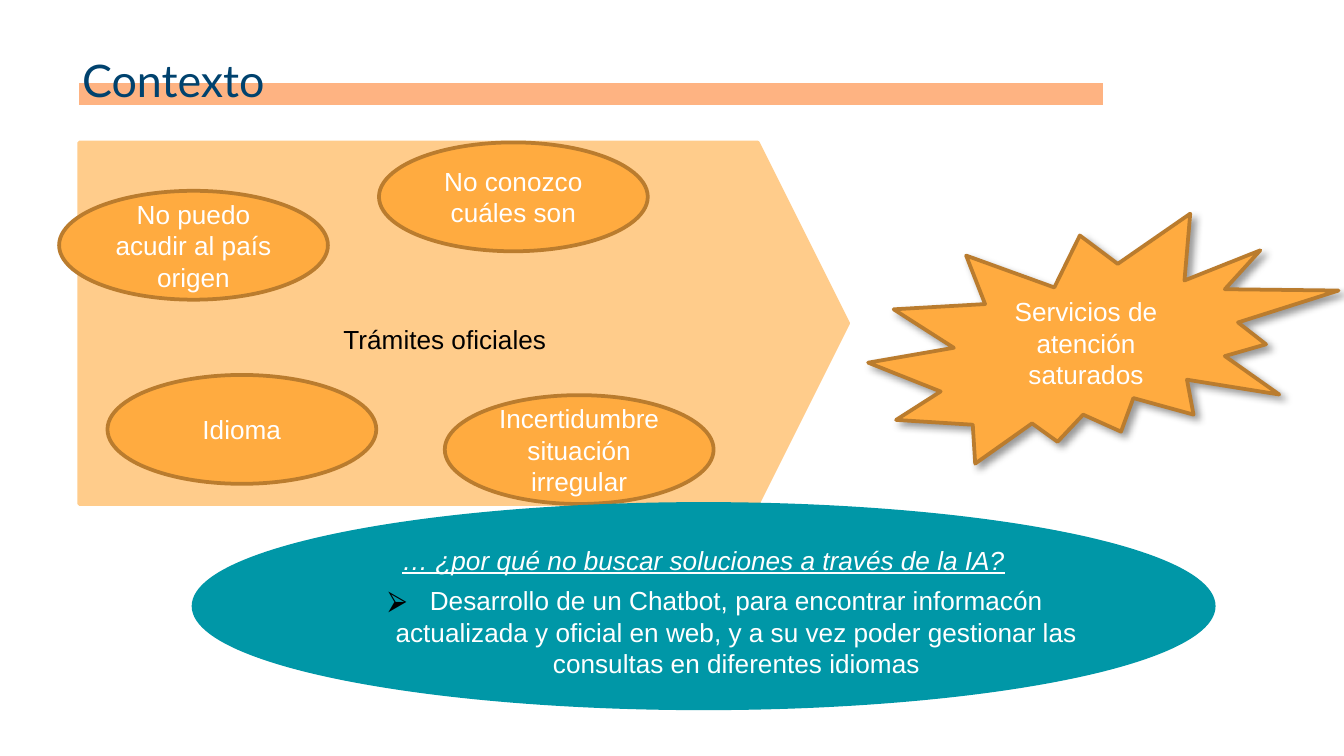
from dataclasses import dataclass

from lxml import etree
from pptx import Presentation
from pptx import util as u
from pptx.dml.color import RGBColor
from pptx.enum import shapes, text
from pptx.oxml import ns

PX = 9144


@dataclass(frozen=True)
class Theme:
    navy: str = "00426E"
    peach: str = "FEB382"
    sand: str = "FFCC8B"
    orange: str = "FFAB40"
    brown: str = "BA7C2E"
    teal: str = "0097A7"
    white: str = "FFFFFF"
    black: str = "000000"
    title_font: str = "Lato"
    body_font: str = "Arial"
    title_size: int = 24
    body_size: int = 14
    outline: int = 2
    bar: int = 12


@dataclass(frozen=True)
class Box:
    left: int
    top: int
    width: int
    height: int

    def emu(self) -> tuple:
        return tuple(side * PX for side in (self.left, self.top, self.width, self.height))


@dataclass(frozen=True)
class Problem:
    wording: str
    left: int
    top: int


THEME = Theme()
PROBLEMS = [
    Problem("No puedo acudir al país origen", 44, 142),
    Problem("Idioma", 80, 279),
    Problem("No conozco cuáles son", 282, 106),
    Problem("Incertidumbre situación irregular", 331, 294),
]


def rgb(value: str) -> RGBColor:
    """Turn a hex string into a colour."""
    return RGBColor.from_string(value)


def add_child(parent, tag: str, **attributes):
    """Append a DrawingML element."""
    return etree.SubElement(parent, ns.qn(tag), attributes)


def write(frame, wording: str, color: str, centred: bool = True,
          font: str = THEME.body_font, size: int = THEME.body_size):
    """Write one paragraph with one run and return both."""
    frame.word_wrap = True
    paragraph = frame.paragraphs[0]
    paragraph.alignment = text.PP_ALIGN.CENTER if centred else text.PP_ALIGN.LEFT
    run = paragraph.add_run()
    run.text = wording
    run.font.name, run.font.size = font, u.Pt(size)
    run.font.color.rgb = rgb(color)
    return paragraph, run


def add_figure(slide, preset, box: Box, fill: str, line: str, wording: str = ""):
    """Draw an outlined preset shape with optional centred white text."""
    figure = slide.shapes.add_shape(preset, *box.emu())
    figure.shadow.inherit = False
    figure.fill.solid()
    figure.fill.fore_color.rgb = rgb(fill)
    figure.line.color.rgb = rgb(line)
    figure.line.width = u.Pt(THEME.outline)
    if wording:
        figure.text_frame.vertical_anchor = text.MSO_ANCHOR.MIDDLE
        write(figure.text_frame, wording, THEME.white)
    return figure


def add_label(slide, box: Box, wording: str, color: str):
    """Add a centred text box and return its paragraph."""
    label = slide.shapes.add_textbox(*box.emu())
    return write(label.text_frame, wording, color)[0]


def add_title(slide, box: Box, wording: str) -> None:
    """Underline the title with a thick bar and place the title over it."""
    bar = slide.shapes.add_connector(
        shapes.MSO_CONNECTOR.STRAIGHT, 59 * PX, 70 * PX, 821 * PX, 70 * PX)
    bar.line.color.rgb = rgb(THEME.peach)
    bar.line.width = u.Pt(THEME.bar)
    add_child(bar.element.spPr, "a:effectLst")
    title = slide.shapes.title
    title.left, title.top, title.width, title.height = box.emu()
    frame = title.text_frame
    frame.margin_left = frame.margin_right = frame.margin_top = frame.margin_bottom = 2 * PX
    frame.vertical_anchor = text.MSO_ANCHOR.TOP
    frame.auto_size = text.MSO_AUTO_SIZE.NONE
    write(frame, wording, THEME.navy, False, THEME.title_font, THEME.title_size)
    bar.element.addnext(title.element)


def add_shadow(figure) -> None:
    """Give a shape a soft diagonal shadow."""
    effects = figure.element.spPr.find(ns.qn("a:effectLst"))
    shadow = add_child(effects, "a:outerShdw", blurRad=str(u.Pt(4)), dist=str(u.Pt(3)),
                       dir=str(45 * 60000), algn="bl", rotWithShape="0")
    tint = add_child(shadow, "a:srgbClr", val=THEME.black)
    add_child(tint, "a:alpha", val="40000")


def add_bullet(paragraph, mark: str, indent: int) -> None:
    """Give a paragraph a hanging black bullet."""
    properties = paragraph._p.get_or_add_pPr()
    properties.set("marL", str(indent * PX))
    properties.set("indent", str(-indent * PX))
    add_child(add_child(properties, "a:buClr"), "a:srgbClr", val=THEME.black)
    add_child(properties, "a:buFont", typeface=THEME.body_font)
    add_child(properties, "a:buChar", char=mark)


def main() -> None:
    """Build the context slide."""
    deck = Presentation()
    deck.slide_width = 1000 * PX
    deck.slide_height = deck.slide_width * 9 // 16
    slide = deck.slides.add_slide(deck.slide_layouts.get_by_name("Title Only"))
    preset = shapes.MSO_SHAPE

    procedures = add_figure(slide, preset.PENTAGON, Box(59, 106, 572, 269),
                            THEME.sand, THEME.sand)
    procedures.adjustments[0] = 0.25
    add_title(slide, Box(59, 37, 532, 48), "Contexto")
    add_label(slide, Box(180, 236, 302, 34), "Trámites oficiales", THEME.black)

    for problem in PROBLEMS:
        add_figure(slide, preset.OVAL, Box(problem.left, problem.top, 200, 81),
                   THEME.orange, THEME.brown, problem.wording)

    saturation = add_figure(slide, preset.EXPLOSION2, Box(646, 159, 350, 186), THEME.orange,
                            THEME.brown, "Servicios de atención saturados")
    add_shadow(saturation)

    proposal = add_figure(slide, preset.OVAL, Box(144, 375, 759, 152), THEME.teal, THEME.teal)
    proposal.text_frame.vertical_anchor = text.MSO_ANCHOR.MIDDLE
    proposal.text_frame.margin_bottom = 74 * PX
    question = write(proposal.text_frame,
                     "… ¿por qué no buscar soluciones a través de la IA?", THEME.white)[1]
    question.font.italic = question.font.underline = True

    chatbot = add_label(
        slide, Box(244, 430, 577, 81),
        "Desarrollo de un Chatbot, para encontrar informacón actualizada y oficial en web, "
        "y a su vez poder gestionar las consultas en diferentes idiomas", THEME.white)
    add_bullet(chatbot, "⮚", 31)

    deck.save("out.pptx")


if __name__ == "__main__":
    main()
